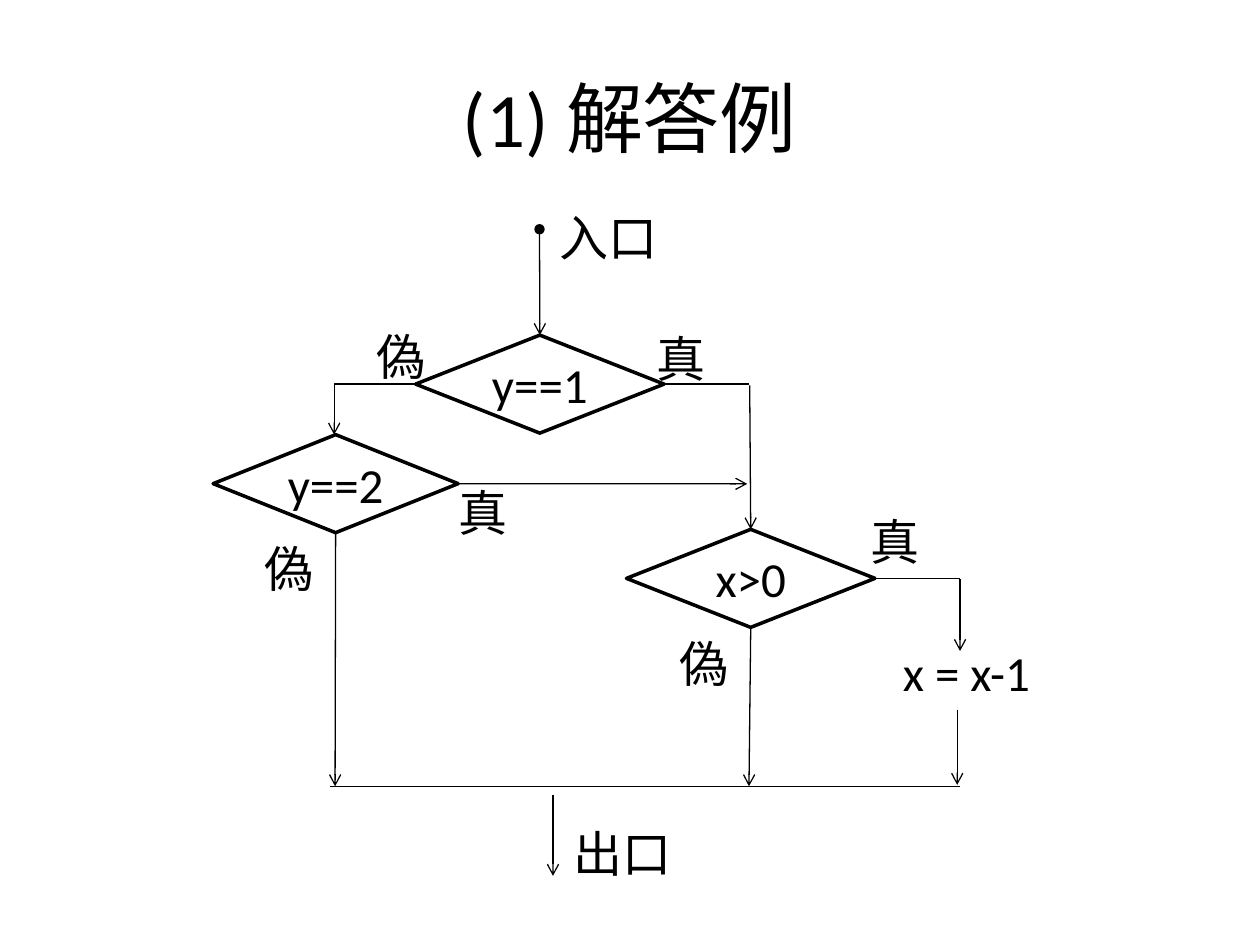
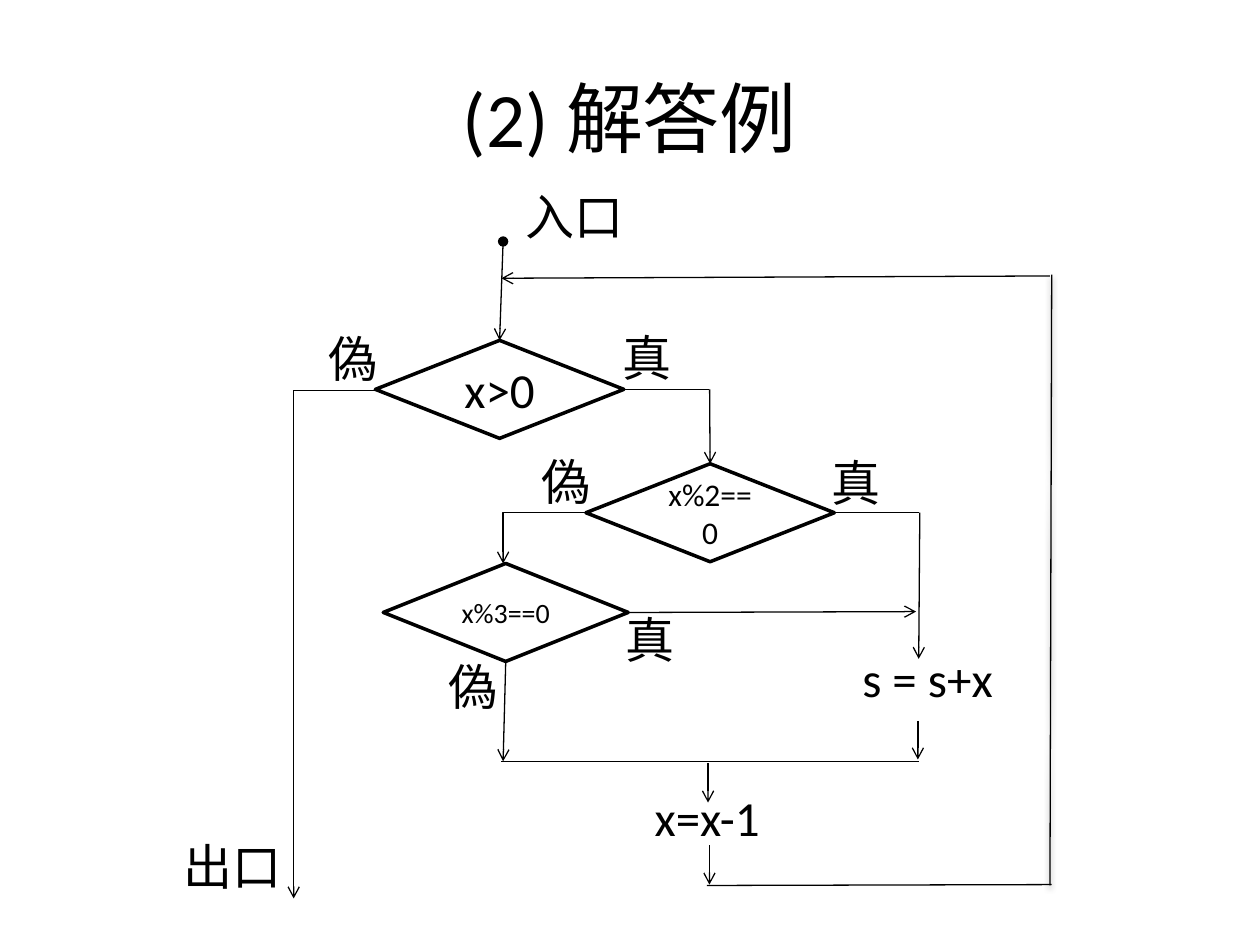
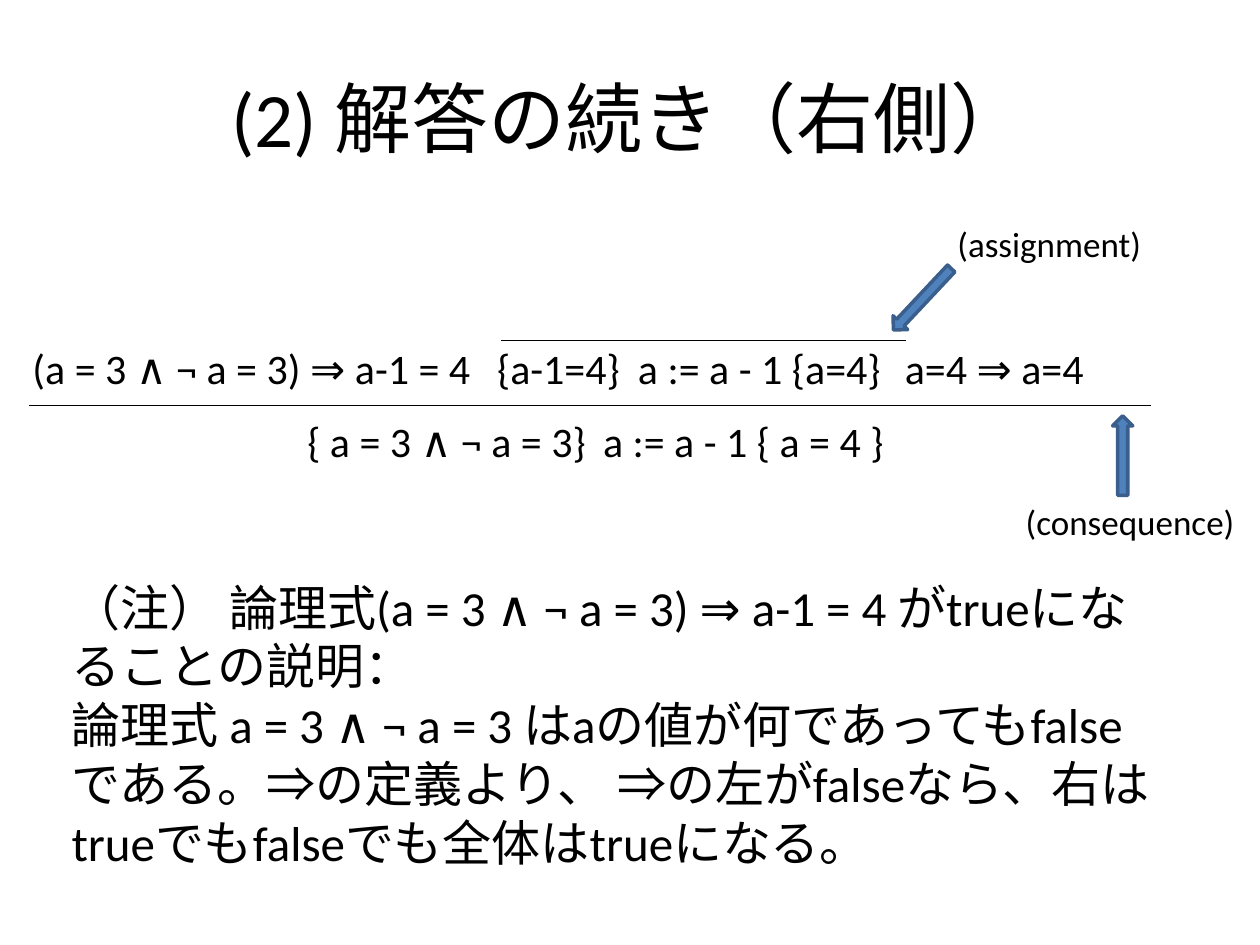
"""Build three answer slides: two flow charts and one proof tree."""
from lxml.etree import SubElement
from pptx import Presentation
from pptx.dml.color import RGBColor
from pptx.enum.shapes import MSO_CONNECTOR as Link, MSO_SHAPE as Preset
from pptx.enum.text import MSO_ANCHOR as Anchor, MSO_AUTO_SIZE as Fit, PP_ALIGN as Align
from pptx.oxml.ns import qn
from pptx.util import Pt

COLORS = {"ink": "000000", "arrow": "4F81BD", "arrow edge": "3A5F8C"}
INK = RGBColor.from_string(COLORS["ink"])
FONT = "Calibri"
LABEL_SIZE = 28
HAN_1, HAN_2 = 42.5, 71

CHARTS = [
    {
        "title": "(1) 解答例",
        "diamonds": [
            ("y==1", 237.5, 191.5, 142, 28),
            ("y==2", 121.8, 248.4, 140, 28),
            ("x>0", 358, 302.5, 142, 28),
        ],
        "labels": [
            ("入口", 312.5, 115.2, HAN_2),
            ("偽", 208, 183, HAN_1),
            ("真", 368, 184.3, HAN_1),
            ("真", 255, 272, HAN_1),
            ("偽", 144, 304, HAN_1),
            ("真", 490.3, 288.7, HAN_1),
            ("偽", 381, 358.5, HAN_1),
            ("x = x-1", 508.8, 363.6, 88.8),
            ("出口", 320.4, 467.3, HAN_2),
        ],
        "entry": ((308.3, 131), ("y==1", 0)),
        "elbows": [((237.5, 219.5), (191, 248.4))],
        "arrows": [
            ((428.4, 220.3), ("x>0", 0)),
            (("y==2", 3), (427, 276.5)),
            (("y==2", 2), (191.5, 449.3)),
            (("x>0", 2), (428, 449.3)),
            ((548.6, 331), (548.6, 372)),
            ((547, 405.5), (547, 448.5)),
            ((316, 454.3), (316, 500.5)),
        ],
        "plain": [
            (("y==1", 3), (428, 219.5)),
            (("x>0", 3), (548.6, 330.5)),
            ((188.6, 449.3), (548.6, 449.3)),
        ],
        "shaded": [],
    },
    {
        "title": "(2) 解答例",
        "diamonds": [
            ("x>0", 214.5, 194.5, 142, 28),
            ("x%2==0", 334.8, 265, 142, 18),
            ("x%3==0", 219, 322, 140, 16),
        ],
        "labels": [
            ("入口", 293, 103, HAN_2),
            ("偽", 180.7, 184.3, HAN_1),
            ("真", 348.5, 183.6, HAN_1),
            ("偽", 302.4, 254.2, HAN_1),
            ("真", 468, 254.9, HAN_1),
            ("真", 350.6, 344.9, HAN_1),
            ("偽", 249, 371.5, HAN_1),
            ("s = s+x", 485.7, 367.2, 90.3),
            ("x=x-1", 367, 446.4, 75.8),
            ("出口", 98, 474.5, HAN_2),
        ],
        "entry": ((287.5, 138), ("x>0", 0)),
        "elbows": [((334.8, 293), (287.5, 322)), ((214.5, 223), (167.8, 513.4))],
        "arrows": [
            ((405.5, 222.5), ("x%2==0", 0)),
            ((525.6, 293), (525, 376.5)),
            (("x%3==0", 3), (523.5, 349.5)),
            (("x%3==0", 2), (287.5, 435)),
            ((524.5, 412), (524.5, 434)),
            ((404.6, 436.3), (404.6, 458.6)),
            ((405.4, 483), (405.4, 505.5)),
            ((600, 157.7), (286.5, 159)),
        ],
        "plain": [
            (("x>0", 3), (405, 222.5)),
            (("x%2==0", 3), (525, 293)),
            ((286.5, 435), (525, 435)),
            ((404, 506), (601, 505.5)),
        ],
        "shaded": [((600, 506), (601, 157))],
    },
]


def write_text(shape, texts, size, align=Align.LEFT, tabs=()):
    frame = shape.text_frame
    for index, text in enumerate(texts):
        para = frame.add_paragraph() if index else frame.paragraphs[0]
        para.alignment = align
        if tabs:
            stops = SubElement(para._p.get_or_add_pPr(), qn("a:tabLst"))
            for stop in tabs:
                SubElement(stops, qn("a:tab"), pos=str(Pt(stop)), algn="l")
        span = para.add_run()
        span.text = text
        span.font.name = FONT
        span.font.size = Pt(size)
        span.font.color.rgb = INK


def draw_line(page, start, end, diamonds, kind):
    is_elbow = kind == "elbows"
    ends = [(0, 0) if point[0] in diamonds else point for point in (start, end)]
    line = page.shapes.add_connector(
        Link.ELBOW if is_elbow else Link.STRAIGHT,
        *[Pt(value) for point in ends for value in point])
    if start[0] in diamonds:
        line.begin_connect(diamonds[start[0]], start[1])
    if end[0] in diamonds:
        line.end_connect(diamonds[end[0]], end[1])
    line.line.color.rgb = INK
    line.line.width = Pt(0.75)
    properties = line._element.spPr
    if is_elbow:
        properties.find(qn("a:prstGeom")).set("prst", "bentConnector2")
    stroke = line.line._get_or_add_ln()
    if kind == "entry":
        SubElement(stroke, qn("a:headEnd"), type="oval")
    if kind in ("entry", "elbows", "arrows"):
        SubElement(stroke, qn("a:tailEnd"), type="arrow")
    effects = SubElement(properties, qn("a:effectLst"))
    if kind == "shaded":
        shadow = SubElement(effects, qn("a:outerShdw"), blurRad=str(Pt(3.1)),
                            dist=str(Pt(1.6)), dir="5400000", rotWithShape="0")
        shade = SubElement(shadow, qn("a:srgbClr"), val=COLORS["ink"])
        SubElement(shade, qn("a:alpha"), val="38000")


deck = Presentation()
deck.slide_width, deck.slide_height = Pt(720), Pt(540)

pages = []
for heading in [chart["title"] for chart in CHARTS] + ["(2) 解答の続き（右側）"]:
    page = deck.slides.add_slide(deck.slide_layouts[5])
    title = page.shapes.title
    title.left, title.top, title.width, title.height = Pt(36), Pt(21.6), Pt(648), Pt(90)
    title.text_frame.vertical_anchor = Anchor.MIDDLE
    write_text(title, [heading], 44, Align.CENTER)
    pages.append(page)

for page, chart in zip(pages, CHARTS):
    diamonds = {}
    for text, left, top, width, size in chart["diamonds"]:
        diamond = page.shapes.add_shape(Preset.DIAMOND, Pt(left), Pt(top), Pt(width), Pt(56))
        diamond.shadow.inherit = False
        diamond.fill.background()
        diamond.line.color.rgb = INK
        diamond.line.width = Pt(2)
        diamond.text_frame.vertical_anchor = Anchor.MIDDLE
        write_text(diamond, [text], size, Align.CENTER)
        diamonds[text] = diamond
    draw_line(page, *chart["entry"], diamonds, "entry")
    for kind in ("elbows", "arrows", "plain", "shaded"):
        for start, end in chart[kind]:
            draw_line(page, start, end, diamonds, kind)
    for text, left, top, width in chart["labels"]:
        box = page.shapes.add_textbox(Pt(left), Pt(top), Pt(width), Pt(41))
        box.text_frame.word_wrap = False
        box.text_frame.auto_size = Fit.SHAPE_TO_FIT_TEXT
        write_text(box, [text], LABEL_SIZE)

proof = pages[-1]
for start, end in [((16.5, 231.8), (658, 231.8)), ((286.5, 194.4), (517.7, 194.4))]:
    draw_line(proof, start, end, {}, "plain")

for left, top, height, angle in [(635.8, 237.6, 45.4, 180), (521.3, 146.9, 48.2, 43.2)]:
    pointer = proof.shapes.add_shape(Preset.DOWN_ARROW, Pt(left), Pt(top), Pt(11.5), Pt(height))
    pointer.rotation = angle
    pointer.shadow.inherit = False
    pointer.fill.solid()
    pointer.fill.fore_color.rgb = RGBColor.from_string(COLORS["arrow"])
    pointer.line.color.rgb = RGBColor.from_string(COLORS["arrow edge"])
    pointer.line.width = Pt(2)

premises = "(a = 3 ∧ ¬ a = 3) ⇒ a-1 = 4\t{a-1=4}\ta := a - 1 {a=4}\ta=4 ⇒ a=4"
conclusion = "{ a = 3 ∧ ¬ a = 3}\ta := a - 1 { a = 4 }"
note = [
    "（注） 論理式(a = 3 ∧ ¬ a = 3) ⇒ a-1 = 4 がtrueになることの説明：",
    "論理式 a = 3 ∧ ¬ a = 3 はaの値が何であってもfalseである。"
    "⇒の定義より、 ⇒の左がfalseなら、右はtrueでもfalseでも全体はtrueになる。",
]
for texts, left, top, width, height, size, wrap, tabs in [
    (["(assignment)"], 540, 123.8, 121, 31.5, 20, False, ()),
    (["(consequence)"], 579, 282.2, 135.4, 31.5, 20, False, ()),
    ([premises], 11.5, 192.2, 669.6, 36, 24, True, (265.5, 346, 498.5)),
    ([conclusion], 168.5, 234, 354.2, 36, 24, True, (169,)),
    (note, 33.8, 326.2, 641.5, 177, LABEL_SIZE, True, ()),
]:
    box = proof.shapes.add_textbox(Pt(left), Pt(top), Pt(width), Pt(height))
    box.text_frame.word_wrap = wrap
    box.text_frame.auto_size = Fit.SHAPE_TO_FIT_TEXT
    write_text(box, texts, size, tabs=tabs)

deck.save("out.pptx")
